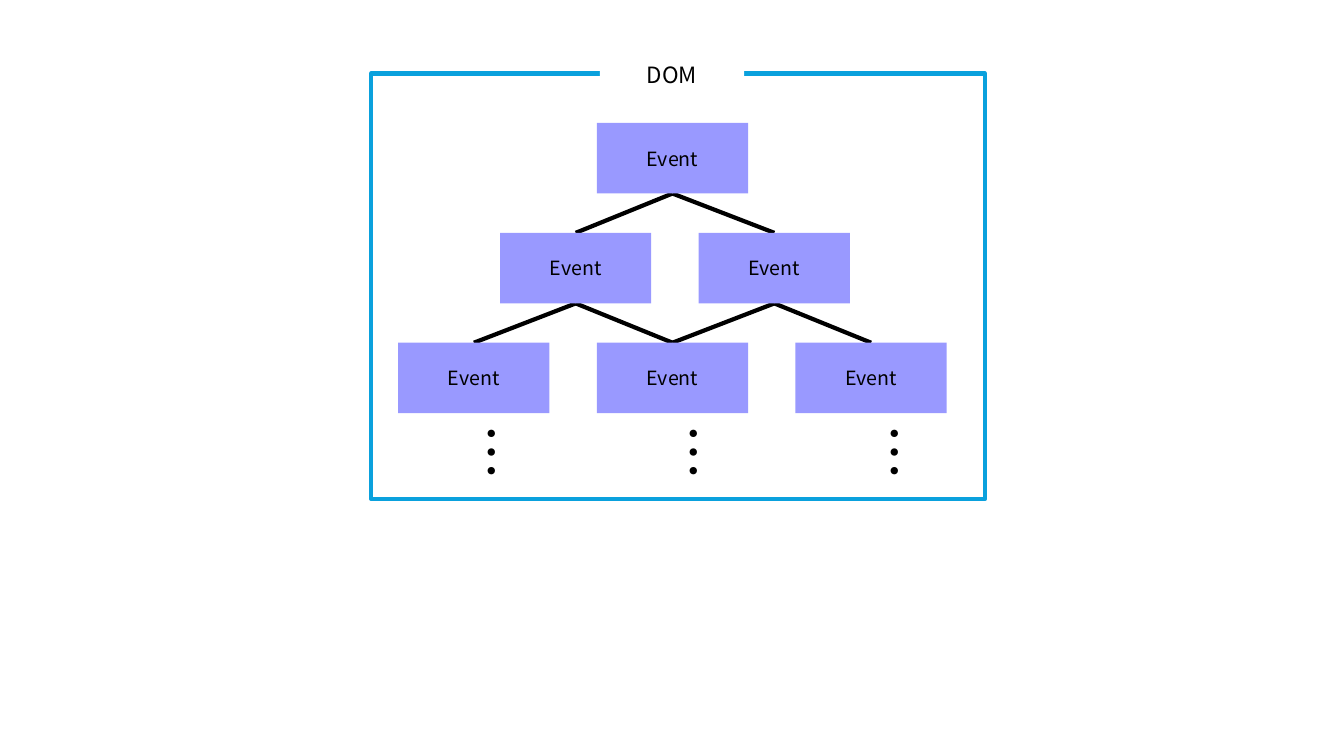
import pptx
import pptx.util
import pptx.dml.color
import pptx.enum.shapes
import pptx.enum.text
import pptx.oxml
import pptx.oxml.ns

Inches, Pt = pptx.util.Inches, pptx.util.Pt
RGBColor = pptx.dml.color.RGBColor
qn = pptx.oxml.ns.qn

BLACK = RGBColor(0x00, 0x00, 0x00)
WHITE = RGBColor(0xFF, 0xFF, 0xFF)
BLUE = RGBColor(0x0A, 0xA1, 0xDD)
VIOLET = RGBColor(0x99, 0x99, 0xFF)
FONT = "Noto Sans CJK KR"

deck = pptx.Presentation()
deck.slide_width, deck.slide_height = Inches(13.33), Inches(7.5)
slide = deck.slides.add_slide(deck.slide_layouts[6])
shapes = slide.shapes


def add_rect(left, top, width, height, fill):
    rect = shapes.add_shape(
        pptx.enum.shapes.MSO_SHAPE.RECTANGLE,
        Inches(left), Inches(top), Inches(width), Inches(height))
    rect.shadow.inherit = False
    rect.fill.solid()
    rect.fill.fore_color.rgb = fill
    rect.line.fill.background()
    return rect


def write(shape, text, size, align):
    frame = shape.text_frame
    frame.word_wrap = True
    frame.vertical_anchor = pptx.enum.text.MSO_ANCHOR.MIDDLE
    para = frame.paragraphs[0]
    para.text = text
    para.alignment = align
    para.font.name = FONT
    para.font.size = Pt(size)
    para.font.color.rgb = BLACK
    # The same typeface for East Asian punctuation
    props = para._p.pPr.find(qn("a:defRPr"))
    props.append(props.makeelement(qn("a:ea"), {"typeface": FONT}))


CENTER = pptx.enum.text.PP_ALIGN.CENTER
LEFT = pptx.enum.text.PP_ALIGN.LEFT

# Frame with its label
frame = add_rect(3.68, 0.73, 6.09, 4.22, WHITE)
frame.line.color.rgb = BLUE
frame.line.width = Pt(3)
label = add_rect(5.95, 0.55, 1.43, 0.37, WHITE)
write(label, "DOM", 16, CENTER)

# Tree grid: centre of the first box in each row, then equal steps
WIDTH, HEIGHT = 1.5, 0.7
TOP, ROW, COL = 1.22, 1.09, 1.97
STARTS = [6.67, 5.71, 4.7]
tree = [[(start + COL * col, TOP + ROW * row) for col in range(row + 1)]
        for row, start in enumerate(STARTS)]

# Links from each box to the two below it
for upper, lower in zip(tree, tree[1:]):
    for col, (x, y) in enumerate(upper):
        for end, top in lower[col:col + 2]:
            link = shapes.add_connector(
                pptx.enum.shapes.MSO_CONNECTOR.STRAIGHT,
                Inches(x), Inches(y + HEIGHT), Inches(end), Inches(top))
            link.line.color.rgb = BLACK
            link.line.width = Pt(3)
            link._element.spPr.append(
                pptx.oxml.parse_xml(
                    '<a:effectLst xmlns:a="http://schemas.openxmlformats.org'
                    '/drawingml/2006/main"/>'))

# Event boxes
for row in tree:
    for x, y in row:
        box = add_rect(x - WIDTH / 2, y, WIDTH, HEIGHT, VIOLET)
        write(box, "Event", 14, CENTER)

# Upright dots under the last row
for col in range(3):
    dots = shapes.add_textbox(
        Inches(4.54 + 2 * col), Inches(4.08), Inches(0.7), Inches(0.77))
    dots.rotation = 90
    write(dots, "…", 40, LEFT)
    dots.text_frame.auto_size = pptx.enum.text.MSO_AUTO_SIZE.SHAPE_TO_FIT_TEXT

deck.save("out.pptx")
